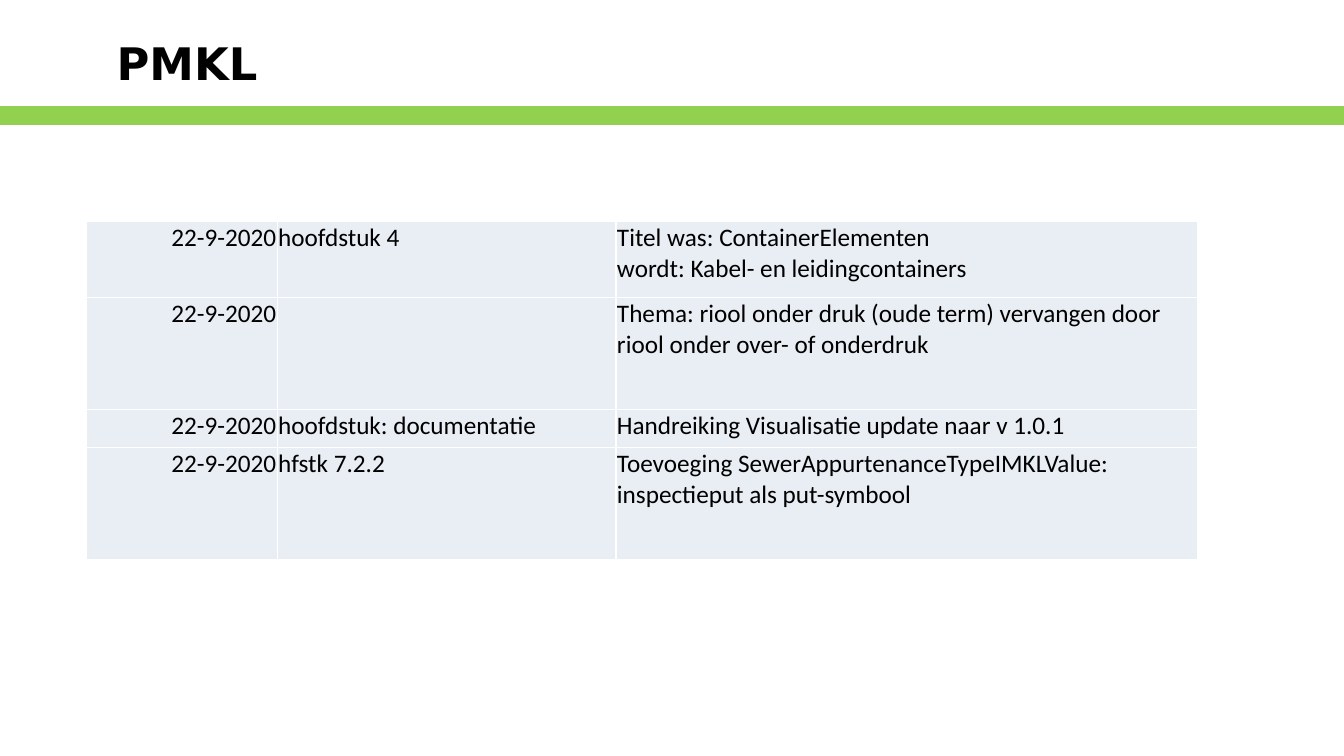
from lxml.etree import SubElement
from pptx import Presentation
from pptx.dml.color import RGBColor
from pptx.enum.shapes import MSO_SHAPE as Shape
from pptx.enum.text import MSO_ANCHOR as Anchor, PP_ALIGN as Align
from pptx.oxml.ns import qn
from pptx.util import Inches, Pt

COLORS = {"green": "92D050", "cell": "E9EDF4", "border": "FFFFFF", "text": "000000"}
COL_WIDTHS = [1.89, 3.36, 5.77]
ROW_HEIGHTS = [0.75, 1.11, 0.38, 1.11]
DATE = "22-9-2020"
CHANGES = [
    (DATE, "hoofdstuk 4", "Titel was: ContainerElementen\vwordt: Kabel- en leidingcontainers"),
    (DATE, "", "Thema: riool onder druk (oude term) vervangen door "
               "riool onder over- of onderdruk"),
    (DATE, "hoofdstuk: documentatie", "Handreiking Visualisatie update naar v 1.0.1"),
    (DATE, "hfstk 7.2.2", "Toevoeging SewerAppurtenanceTypeIMKLValue: "
                          "inspectieput als put-symbool"),
]


def rgb(name):
    return RGBColor.from_string(COLORS[name])


def write(tf, text, align, font, size, bold=False):
    p = tf.paragraphs[0]
    p.text = text
    p.alignment = align
    for r in p.runs:
        r.font.name, r.font.size, r.font.bold = font, Pt(size), bold
        r.font.color.rgb = rgb("text")


def add_band(slide, left, top, width, height):
    sp = slide.shapes.add_shape(Shape.RECTANGLE, *map(Inches, (left, top, width, height)))
    sp.shadow.inherit = False
    sp.fill.solid()
    sp.fill.fore_color.rgb = rgb("green")
    sp.line.color.rgb = rgb("green")
    sp.line.width = Pt(2)


def add_title(slide, text, left, top, width, height):
    tf = slide.shapes.add_textbox(*map(Inches, (left, top, width, height))).text_frame
    tf.word_wrap = True
    tf.vertical_anchor = Anchor.MIDDLE
    write(tf, text, Align.CENTER, "DejaVu Sans", 32, True)


def style_cell(cell):
    """Give a cell white borders on all sides and a flat fill."""
    tc_pr = cell._tc.get_or_add_tcPr()
    for side in ("lnL", "lnR", "lnT", "lnB"):
        ln = SubElement(tc_pr, qn(f"a:{side}"), w=str(Pt(1)))
        fill = SubElement(ln, qn("a:solidFill"))
        SubElement(fill, qn("a:srgbClr"), val=COLORS["border"])
    cell.fill.solid()
    cell.fill.fore_color.rgb = rgb("cell")


def add_change_table(slide, left, top):
    box = map(Inches, (left, top, sum(COL_WIDTHS), sum(ROW_HEIGHTS)))
    table = slide.shapes.add_table(len(ROW_HEIGHTS), len(COL_WIDTHS), *box).table
    table.first_row = table.horz_banding = False
    for column, width in zip(table.columns, COL_WIDTHS):
        column.width = Inches(width)
    for row, height, texts in zip(table.rows, ROW_HEIGHTS, CHANGES):
        row.height = Inches(height)
        for i, (cell, text) in enumerate(zip(row.cells, texts)):
            style_cell(cell)
            cell.margin_left = cell.margin_right = cell.margin_top = Inches(0.01)
            cell.margin_bottom = 0
            write(cell.text_frame, text, Align.LEFT if i else Align.RIGHT, "Calibri", 18)


def main():
    prs = Presentation()
    prs.slide_width, prs.slide_height = Inches(13.33), Inches(7.5)
    slide = prs.slides.add_slide(prs.slide_layouts[6])
    add_band(slide, 0, 1.07, 13.33, 0.16)
    add_title(slide, "PMKL", 0.67, 0, 2.37, 1.25)
    add_change_table(slide, 0.86, 2.2)
    prs.save("out.pptx")


if __name__ == "__main__":
    main()
